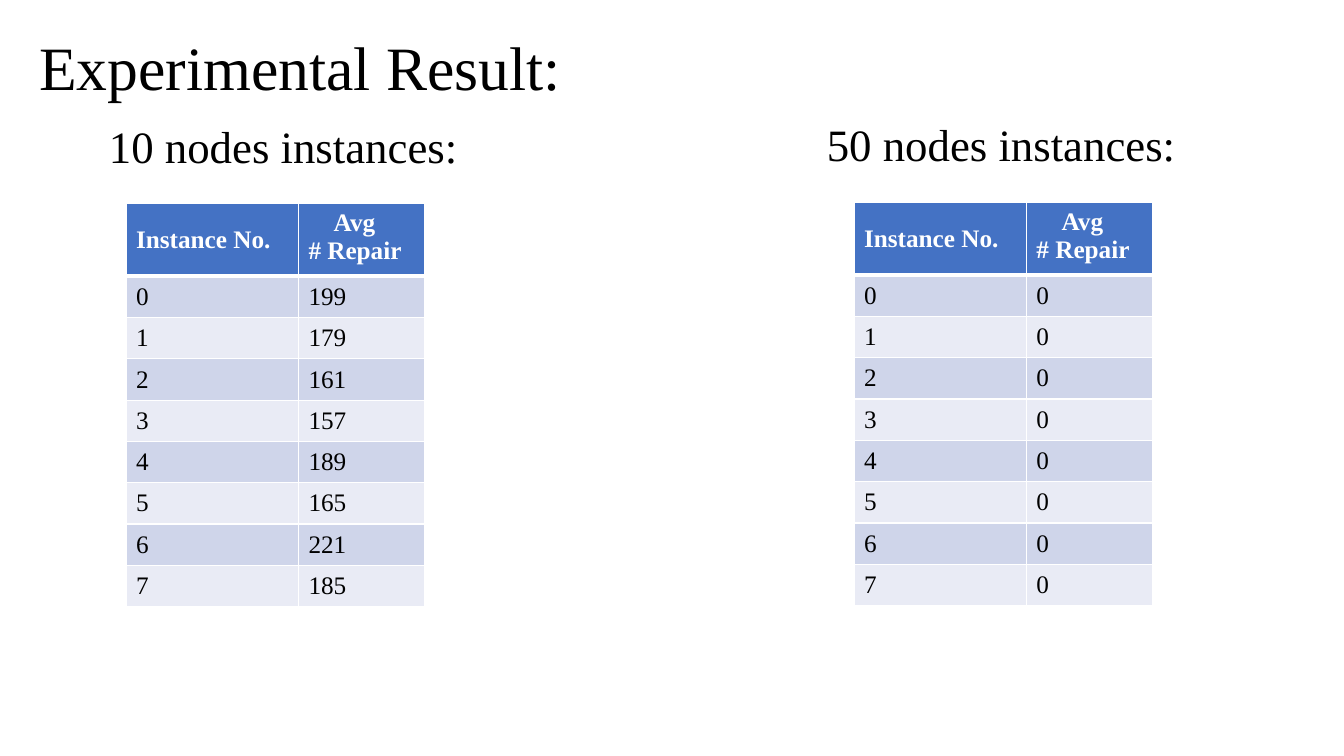
from dataclasses import dataclass

from lxml import etree
from pptx import Presentation
from pptx.dml.color import RGBColor
from pptx.enum import text
from pptx.oxml import ns
from pptx.util import Inches, Pt


@dataclass(frozen=True)
class Theme:
    font: str = "Times New Roman"
    title_size: int = 44
    heading_size: int = 32
    table_size: int = 18
    ink: str = "000000"
    paper: str = "FFFFFF"
    header: str = "4472C4"
    bands: tuple = ("CFD5EA", "E9EBF5")


THEME = Theme()
COLUMN_WIDTHS = (1.71, 1.25)
HEADER_HEIGHT, ROW_HEIGHT = 0.72, 0.41
AVG_INDENT = 0.25


def style_paragraph(para, size, color, bold=False):
    para.font.name = THEME.font
    para.font.size = Pt(size)
    para.font.bold = bold
    para.font.color.rgb = RGBColor.from_string(color)


def place_heading(holder, box, wording, size, anchor, space_before=0):
    """Move a text placeholder into box (left, top, width, height) and fill it."""
    holder.left, holder.top, holder.width, holder.height = map(Inches, box)
    frame = holder.text_frame
    frame.text = wording
    frame.word_wrap = True
    frame.auto_size = text.MSO_AUTO_SIZE.NONE
    frame.vertical_anchor = anchor
    para = frame.paragraphs[0]
    para.alignment = text.PP_ALIGN.LEFT
    para.line_spacing = 0.9
    para.space_before = Pt(space_before)
    style_paragraph(para, size, THEME.ink)


def set_borders(cell, bottom_width):
    properties = cell._tc.get_or_add_tcPr()
    for side, width in (("L", 1), ("R", 1), ("T", 1), ("B", bottom_width)):
        line = etree.SubElement(properties, ns.qn(f"a:ln{side}"), w=str(Pt(width)))
        fill = etree.SubElement(line, ns.qn("a:solidFill"))
        etree.SubElement(fill, ns.qn("a:srgbClr"), val=THEME.paper)


def fill_cell(cell, wording, fill, color, bold, bottom_width):
    set_borders(cell, bottom_width)
    cell.fill.solid()
    cell.fill.fore_color.rgb = RGBColor.from_string(fill)
    cell.vertical_anchor = text.MSO_ANCHOR.MIDDLE
    cell.text = wording
    for para in cell.text_frame.paragraphs:
        style_paragraph(para, THEME.table_size, color, bold)


def add_repair_table(page, left, top, repairs):
    """Add a table of average repairs, one row per instance."""
    height = HEADER_HEIGHT + ROW_HEIGHT * len(repairs)
    table = page.shapes.add_table(
        len(repairs) + 1, len(COLUMN_WIDTHS), Inches(left), Inches(top),
        Inches(sum(COLUMN_WIDTHS)), Inches(height)).table
    for column, width in zip(table.columns, COLUMN_WIDTHS):
        column.width = Inches(width)

    rows = [("Instance No.", "Avg\n# Repair")]
    rows += [(str(number), str(repair)) for number, repair in enumerate(repairs)]
    for r, values in enumerate(rows):
        is_header = r == 0
        table.rows[r].height = Inches(HEADER_HEIGHT if is_header else ROW_HEIGHT)
        fill = THEME.header if is_header else THEME.bands[(r - 1) % 2]
        color = THEME.paper if is_header else THEME.ink
        for c, wording in enumerate(values):
            fill_cell(table.cell(r, c), wording, fill, color, is_header,
                      3 if is_header else 1)

    average = table.cell(0, 1)
    average.vertical_anchor = text.MSO_ANCHOR.TOP
    indent = average.text_frame.paragraphs[0]._p.get_or_add_pPr()
    indent.set("marL", str(Inches(AVG_INDENT)))


def add_result_group(page, holder, heading_at, table_at, wording, repairs):
    place_heading(holder, (*heading_at, 3.7, 0.63), wording,
                  THEME.heading_size, text.MSO_ANCHOR.TOP, space_before=10)
    add_repair_table(page, *table_at, repairs)


def build_comparison_slide(deck):
    page = deck.slides.add_slide(deck.slide_layouts.get_by_name("Comparison"))
    holders = {holder.placeholder_format.idx: holder for holder in page.placeholders}
    place_heading(holders[0], (0.29, 0.2, 5.39, 1), "Experimental Result:",
                  THEME.title_size, text.MSO_ANCHOR.MIDDLE)
    add_result_group(page, holders[1], (0.98, 1.19), (1.25, 2.02),
                     "10 nodes instances:",
                     (199, 179, 161, 157, 189, 165, 221, 185))
    add_result_group(page, holders[3], (8.1, 1.17), (8.47, 2.01),
                     "50 nodes instances:", (0,) * 8)
    for unused in (holders[2], holders[4]):
        unused.element.getparent().remove(unused.element)


def main():
    deck = Presentation()
    deck.slide_width, deck.slide_height = Inches(13.33), Inches(7.5)
    build_comparison_slide(deck)
    deck.save("out.pptx")


if __name__ == "__main__":
    main()
